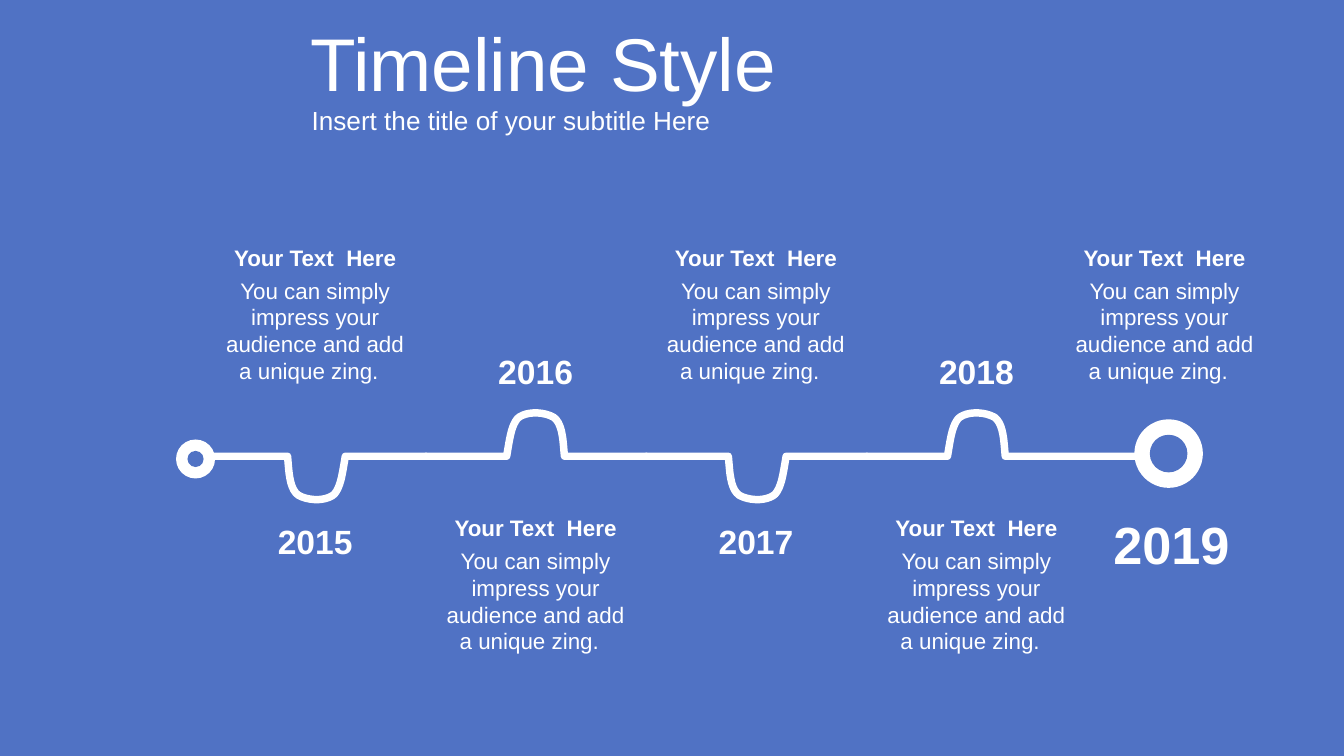
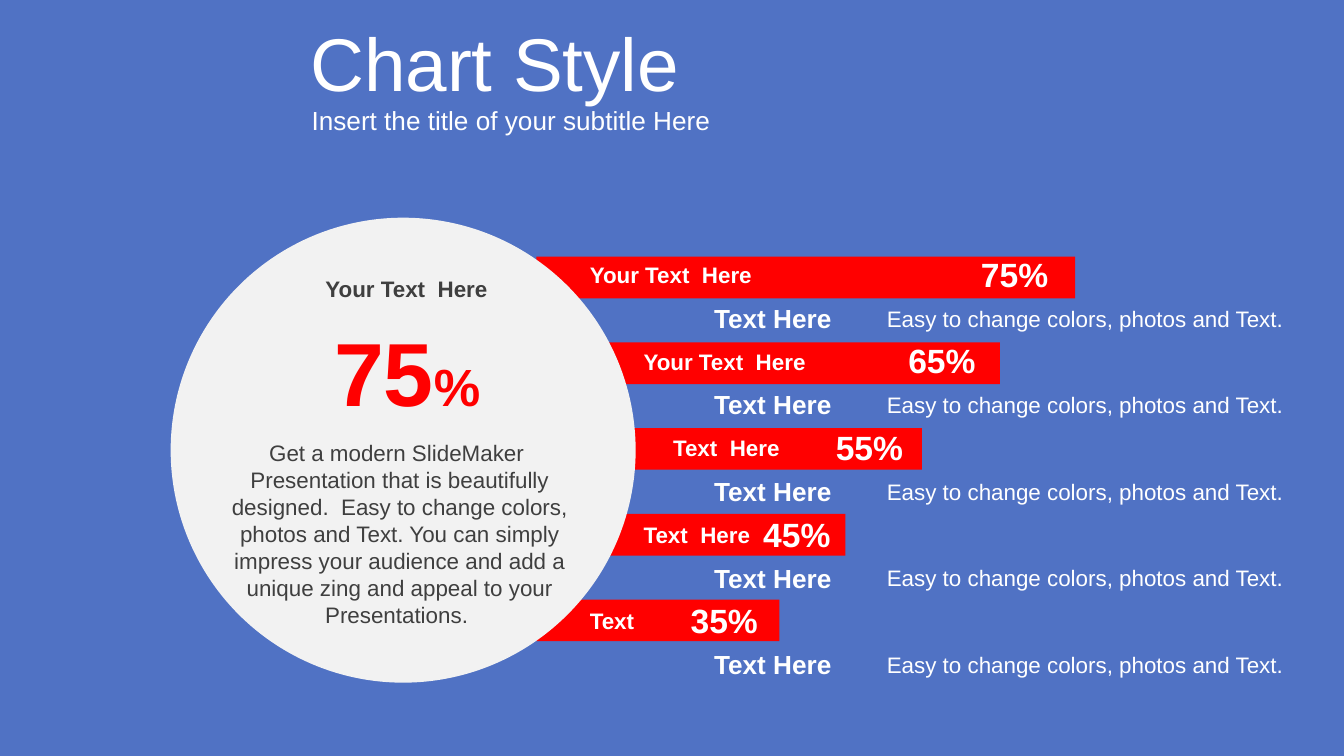
from dataclasses import dataclass

from lxml import etree
from pptx import Presentation
from pptx.dml.color import RGBColor
from pptx.enum.shapes import MSO_SHAPE as Preset
from pptx.enum.text import MSO_ANCHOR as Anchor, MSO_AUTO_SIZE as AutoSize, PP_ALIGN as Align
from pptx.oxml.ns import qn
from pptx.util import Inches, Pt

CELL = 0.1  # the slide is a grid of 100 columns by 56.25 rows
BLUE, WHITE, RED, PALE, DARK = "5072C4", "FFFFFF", "FF0000", "F2F2F2", "3F3F3F"
SUBTITLE = "Insert the title of your subtitle Here"
HEADING = "Your Text  Here"


@dataclass
class Box:
    """A region in grid cells; inner() gives a region relative to it."""
    left: float
    top: float
    width: float
    height: float

    def inner(self, column, row, width, height):
        return Box(self.left + column, self.top + row, width, height)

    def lengths(self):
        return [cells(n) for n in (self.left, self.top, self.width, self.height)]


def cells(count):
    return Inches(count * CELL)


def color(hex_string):
    return RGBColor.from_string(hex_string)


def set_all(target, values):
    for name, value in values.items():
        setattr(target, name, value)


def add_text(slide, box, runs, align=Align.CENTER, anchor=Anchor.TOP, inset=0.5):
    """Runs are tuples of text, size, colour and bold."""
    frame = slide.shapes.add_textbox(*box.lengths()).text_frame
    set_all(frame, {
        "word_wrap": True, "auto_size": AutoSize.NONE, "vertical_anchor": anchor,
        "margin_left": cells(1), "margin_right": cells(1),
        "margin_top": cells(inset), "margin_bottom": cells(inset),
    })
    paragraph = frame.paragraphs[0]
    paragraph.alignment = align
    for text, size, hex_string, bold in runs:
        run = paragraph.add_run()
        run.text = text
        set_all(run.font, {"name": "Arial", "size": Pt(size), "bold": bold})
        run.font.color.rgb = color(hex_string)


def add_filled(slide, preset, box, hex_string):
    shape = slide.shapes.add_shape(preset, *box.lengths())
    shape.shadow.inherit = False
    shape.fill.solid()
    shape.fill.fore_color.rgb = color(hex_string)
    shape.line.fill.background()


def add_base_slide(presentation):
    slide = presentation.slides.add_slide(presentation.slide_layouts[6])
    slide.background.fill.solid()
    slide.background.fill.fore_color.rgb = color(BLUE)
    return slide


def add_header(slide, box, title):
    for text, size, place in ((title, 40, box.inner(0, 0, 77.9, 6.6)),
                              (SUBTITLE, 14, box.inner(0.1, 6.1, 77.6, 3.1))):
        add_text(slide, place, [(text, size, WHITE, False)], Align.LEFT, Anchor.MIDDLE, 1)


# Timeline: outline of one downward bump, in cells from the start of its stretch
STEP = 16.4
BUMP = [(6.1, 0), (6.2, 1), (6.2, 2.4), (6.9, 2.9), (7.8, 3.4), (9.1, 3.3),
        (9.6, 2.8), (10.1, 2.2), (10.2, 1.1), (10.4, 0)]


def bezier(start, first, second, end, steps=10):
    for step in range(1, steps + 1):
        t = step / steps
        weights = ((1 - t) ** 3, 3 * t * (1 - t) ** 2, 3 * t * t * (1 - t), t ** 3)
        yield tuple(sum(w * point[axis] for w, point in
                        zip(weights, (start, first, second, end))) for axis in (0, 1))


def add_wave(slide, box, upward):
    """Draws a line along the top of the box with one bump in it."""
    bump = [(STEP - x, -y) for x, y in reversed(BUMP)] if upward else BUMP
    points = [bump[0]]
    for index in range(0, len(bump) - 1, 3):
        points.extend(bezier(*bump[index:index + 4]))
    points.append((box.width, 0))
    builder = slide.shapes.build_freeform(cells(box.left), cells(box.top))
    builder.add_line_segments(
        [(cells(box.left + x), cells(box.top + y)) for x, y in points], close=False)
    shape = builder.convert_to_shape()
    shape.shadow.inherit = False
    shape.fill.background()
    shape.line.color.rgb = color(WHITE)
    shape.line.width = Pt(4)
    outline = shape.element.spPr.find(qn("a:ln"))
    outline.set("cap", "rnd")
    etree.SubElement(outline, qn("a:round"))


def add_ring(slide, box, border):
    add_filled(slide, Preset.OVAL, box, WHITE)
    hole = box.inner(border, border, box.width - 2 * border, box.height - 2 * border)
    add_filled(slide, Preset.OVAL, hole, BLUE)


def add_caption(slide, box):
    body = "You can simply impress your audience and add a unique zing.  "
    add_text(slide, box.inner(0, 2.4, box.width, 9.1), [(body, 12, WHITE, False)])
    add_text(slide, box.inner(0, 0, box.width, 3), [(HEADING, 12, WHITE, True)])


def add_timeline(slide, box):
    baseline, caption_rows = 16.25, (0, 20.1)
    for index, year in enumerate(("2015", "2016", "2017", "2018")):
        upward = index % 2
        left = 2.2 + index * STEP
        width = 22.4 if index == 3 else STEP
        add_wave(slide, box.inner(left, baseline, width, 3.2), upward)
        add_text(slide, box.inner(left + 3.7, 7.9 if upward else 20.6, 8.9, 4),
                 [(year, 18, WHITE, True)], anchor=Anchor.MIDDLE)
        add_caption(slide, box.inner(left + 0.2, caption_rows[upward], 15.9, 11.5))

    # End points and the closing year
    add_ring(slide, box.inner(0, 15, 2.9, 2.9), 0.85)
    add_ring(slide, box.inner(71.3, 13.5, 5.1, 5.1), 1.15)
    add_text(slide, box.inner(67.6, 19.9, 12.9, 5.7),
             [("2019", 28, WHITE, True)], anchor=Anchor.MIDDLE)
    add_caption(slide, box.inner(65.6, caption_rows[0], 15.9, 11.5))


# Bars: label, label column, value, bar width
BARS = [(HEADING, 3, "75%", 40.1), (HEADING, 7, "65%", 34.5),
        ("Text  Here", 9.2, "55%", 28.7), ("Text  Here", 7, "45%", 23),
        ("Text", 3, "35%", 18.1)]


def add_bars(slide, box):
    for index, (_, _, _, width) in enumerate(BARS):
        add_filled(slide, Preset.RECTANGLE, box.inner(0, 0.7 + index * 6.38, width, 3.1), RED)


def add_bar_texts(slide, box):
    for index, (label, column, value, _) in enumerate(BARS):
        row = box.inner(0, index * 6.44, box.width, 7.2)
        add_text(slide, row.inner(32.1 - index * 5.4, 0, 7.1, 4),
                 [(value, 18, WHITE, True)], Align.LEFT)
        add_text(slide, row.inner(column, 0.55, 16.7, 3), [(label, 12, WHITE, True)], Align.LEFT)
        add_text(slide, row.inner(10.5, 3.6, 14.2, 3.4), [("Text Here", 14, WHITE, True)])
        add_text(slide, row.inner(25.1, 3.8, 33.1, 3),
                 [("Easy to change colors, photos and Text.", 12, WHITE, False)], Align.LEFT)


def add_summary(slide, box):
    body = ("Get a modern SlideMaker  Presentation that is beautifully designed.  "
            "Easy to change colors, photos and Text. You can simply impress your "
            "audience and add a unique zing and appeal to your Presentations. ")
    add_filled(slide, Preset.OVAL, box, PALE)
    add_text(slide, box.inner(11.1, 6.9, 13, 9.1),
             [("75", 48, RED, True), ("%", 28, RED, True)])
    add_text(slide, box.inner(9.2, 3.8, 16.7, 3), [(HEADING, 12, DARK, True)])
    add_text(slide, box.inner(1.7, 16, 30.7, 15.1), [(body, 12, DARK, False)])


def main():
    presentation = Presentation()
    set_all(presentation, {"slide_width": Inches(10), "slide_height": Inches(5.625)})
    header = Box(22.1, 1.3, 77.9, 9.2)

    timeline_slide = add_base_slide(presentation)
    add_timeline(timeline_slide, Box(13.1, 17.7, 81.5, 31.6))
    add_header(timeline_slide, header, "Timeline Style")

    chart_slide = add_base_slide(presentation)
    bar_area = Box(39.9, 18.4, 58.2, 33)
    add_bars(chart_slide, bar_area)
    add_summary(chart_slide, Box(12.7, 16.2, 34.6, 34.6))
    add_bar_texts(chart_slide, bar_area)
    add_header(chart_slide, header, "Chart Style")

    presentation.save("out.pptx")


if __name__ == "__main__":
    main()
